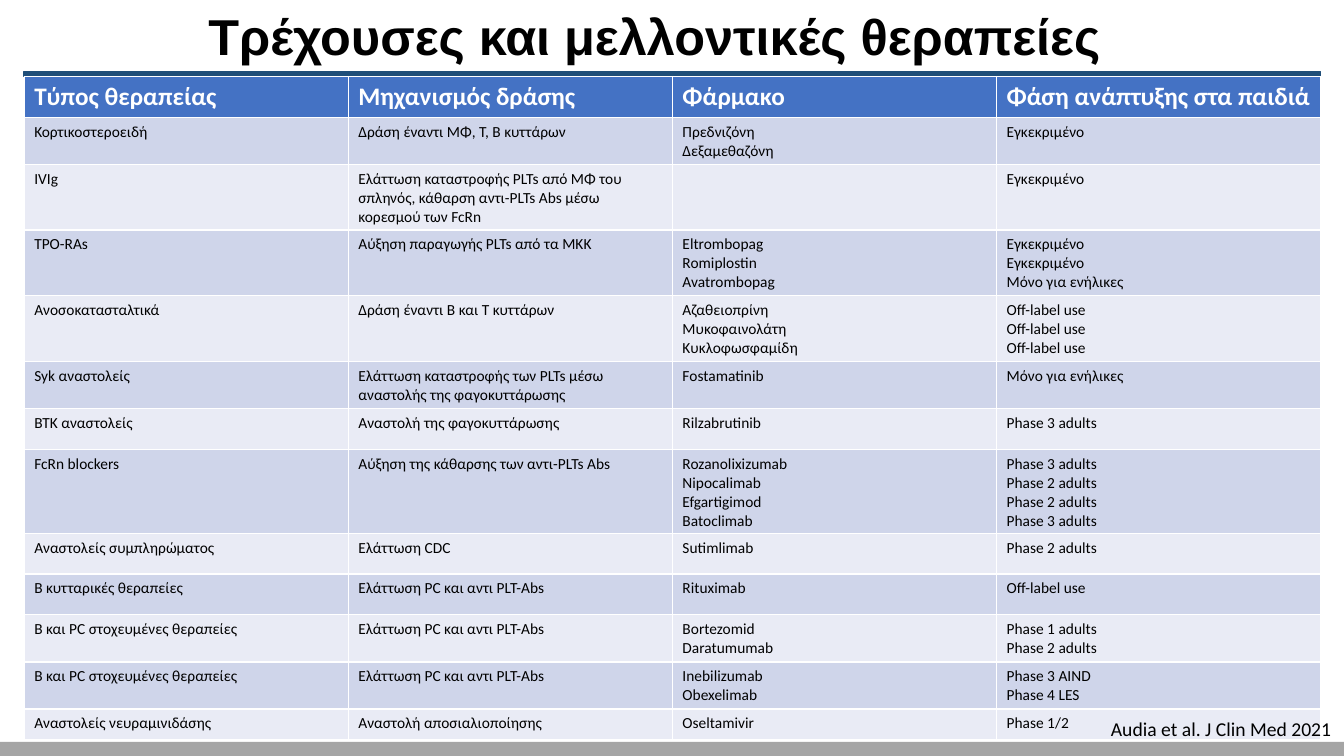
from dataclasses import dataclass

from pptx import Presentation
from pptx.dml.color import RGBColor
from pptx.enum.shapes import MSO_SHAPE
from pptx.enum.text import MSO_ANCHOR, MSO_AUTO_SIZE, PP_ALIGN
from pptx.util import Inches, Pt

WIDE, HIGH = Inches(13.33), Inches(7.5)
COLORS = {
    "ink": "000000", "white": "FFFFFF", "head": "4472C4",
    "dark": "CFD5EA", "pale": "E9EBF5", "rule": "1F4E79", "foot": "A5A5A5",
}


@dataclass
class Box:
    """A frame in percent of the slide's width and height."""
    left: float
    top: float
    width: float
    height: float

    def frame(self) -> tuple[int, int, int, int]:
        return (share(self.left, WIDE), share(self.top, HIGH),
                share(self.width, WIDE), share(self.height, HIGH))


@dataclass
class Style:
    size: int
    color: str = "ink"
    bold: bool = False
    face: str = "Calibri"


@dataclass
class Row:
    kind: str
    action: str
    drugs: str
    phase: str
    height: float = 5.4


FOOT = Box(0, 98.13, 100, 1.87)
RULE = Box(1.8, 9.47, 96.47, 0.67)
TITLE = Box(14.4, 0, 68.64, 9.47)
TABLE = Box(1.8, 10.13, 96.47, 87.6)
SOURCE = Box(81.92, 94.13, 18.08, 4.53)

ROWS = [
    Row("Τύπος θεραπείας", "Μηχανισμός δράσης", "Φάρμακο",
        "Φάση ανάπτυξης στα παιδιά"),
    Row("Κορτικοστεροειδή", "Δράση έναντι ΜΦ, Τ, Β κυττάρων",
        "Πρεδνιζόνη\nΔεξαμεθαζόνη", "Εγκεκριμένο", 6),
    Row("IVIg", "Ελάττωση καταστροφής PLTs από ΜΦ του σπληνός, κάθαρση "
        "αντι-PLTs Abs μέσω κορεσμού των FcRn", "", "Εγκεκριμένο", 7.33),
    Row("TPO-RAs", "Αύξηση παραγωγής PLTs από τα ΜΚΚ",
        "Eltrombopag\nRomiplostin\nAvatrombopag",
        "Εγκεκριμένο\nΕγκεκριμένο\nΜόνο για ενήλικες"),
    Row("Ανοσοκατασταλτικά", "Δράση έναντι Β και Τ κυττάρων",
        "Αζαθειοπρίνη\nMυκοφαινολάτη\nΚυκλοφωσφαμίδη",
        "Off-label use\nOff-label use\nOff-label use"),
    Row("Syk αναστολείς", "Ελάττωση καταστροφής των PLTs μέσω αναστολής "
        "της φαγοκυττάρωσης", "Fostamatinib", "Μόνο για ενήλικες"),
    Row("ΒΤΚ αναστολείς", "Aναστολή της φαγοκυττάρωσης", "Rilzabrutinib",
        "Phase 3 adults"),
    Row("FcRn blockers", "Αύξηση της κάθαρσης των αντι-PLTs Abs",
        "Rozanolixizumab\nNipocalimab\nEfgartigimod\nBatoclimab",
        "Phase 3 adults\nPhase 2 adults\nPhase 2 adults\nPhase 3 adults"),
    Row("Αναστολείς συμπληρώματος", "Ελάττωση CDC", "Sutimlimab",
        "Phase 2 adults"),
    Row("B κυτταρικές θεραπείες", "Ελάττωση PC και αντι PLT-Abs",
        "Rituximab", "Off-label use"),
    Row("Β και PC στοχευμένες θεραπείες", "Ελάττωση PC και αντι PLT-Abs",
        "Bortezomid\nDaratumumab", "Phase 1 adults\nPhase 2 adults"),
    Row("Β και PC στοχευμένες θεραπείες", "Ελάττωση PC και αντι PLT-Abs",
        "Inebilizumab\nObexelimab", "Phase 3 AIND\nPhase 4 LES"),
    Row("Αναστολείς νευραμινιδάσης", "Αναστολή αποσιαλιοποίησης",
        "Oseltamivir", "Phase 1/2", 4),
]


def share(part: float, whole: int) -> int:
    return round(whole * part / 100)


def tint(name: str) -> RGBColor:
    return RGBColor.from_string(COLORS[name])


def write(frame, text: str, style: Style, align=PP_ALIGN.LEFT) -> None:
    frame.text = text
    for para in frame.paragraphs:
        para.alignment = align
        font = para.font
        font.name, font.size, font.bold = style.face, Pt(style.size), style.bold
        font.color.rgb = tint(style.color)


def fit(frame) -> None:
    frame.word_wrap = False
    frame.auto_size = MSO_AUTO_SIZE.SHAPE_TO_FIT_TEXT
    frame.vertical_anchor = MSO_ANCHOR.TOP


def draw_bar(slide, box: Box, color: str, edge: bool = False) -> None:
    bar = slide.shapes.add_shape(MSO_SHAPE.RECTANGLE, *box.frame())
    bar.shadow.inherit = False
    bar.fill.solid()
    bar.fill.fore_color.rgb = tint(color)
    if edge:
        bar.line.color.rgb = tint(color)
        bar.line.width = Pt(1)
    else:
        bar.line.fill.background()


def draw_title(slide) -> None:
    title = slide.shapes.title
    title.left, title.top, title.width, title.height = TITLE.frame()
    write(title.text_frame, "Τρέχουσες και μελλοντικές θεραπείες",
          Style(36, bold=True, face="Arial"), PP_ALIGN.CENTER)
    fit(title.text_frame)


def draw_table(slide) -> None:
    # The default table style supplies the white cell borders
    grid = slide.shapes.add_table(len(ROWS), 4, *TABLE.frame()).table
    for col in grid.columns:
        col.width = share(TABLE.width / 4, WIDE)
    for i, row in enumerate(ROWS):
        grid.rows[i].height = share(row.height, HIGH)
        style = Style(11) if i else Style(18, "white", True)
        color = ("dark" if i % 2 else "pale") if i else "head"
        texts = (row.kind, row.action, row.drugs, row.phase)
        for cell, text in zip(grid.rows[i].cells, texts):
            cell.fill.solid()
            cell.fill.fore_color.rgb = tint(color)
            write(cell.text_frame, text, style)


def draw_source(slide) -> None:
    note = slide.shapes.add_textbox(*SOURCE.frame()).text_frame
    write(note, "Audia et al. J Clin Med 2021", Style(14))
    fit(note)


def main() -> None:
    deck = Presentation()
    deck.slide_width, deck.slide_height = WIDE, HIGH
    slide = deck.slides.add_slide(deck.slide_layouts[5])
    # Bars and title
    draw_bar(slide, FOOT, "foot")
    draw_bar(slide, RULE, "rule", edge=True)
    draw_title(slide)
    # Therapies and citation
    draw_table(slide)
    draw_source(slide)
    deck.save("out.pptx")


if __name__ == "__main__":
    main()
